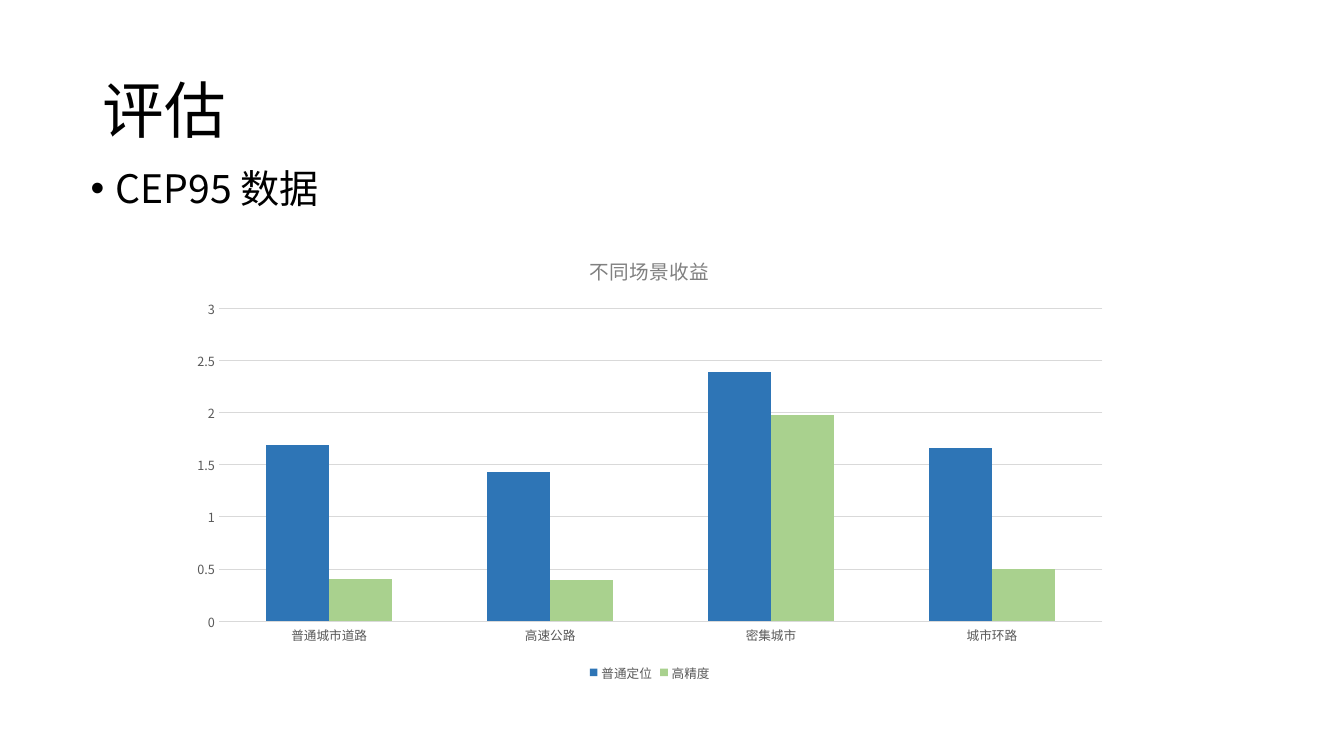
from dataclasses import dataclass

from lxml.etree import SubElement
from pptx import Presentation
from pptx.chart.data import CategoryChartData
from pptx.dml.color import RGBColor
from pptx.enum.chart import XL_CHART_TYPE, XL_LEGEND_POSITION, XL_TICK_MARK
from pptx.enum.text import MSO_ANCHOR
from pptx.oxml.ns import qn
from pptx.util import Inches, Pt


@dataclass(frozen=True)
class Theme:
    font: str = "Noto Sans CJK SC"
    text: str = "000000"
    label: str = "595959"
    chart_title: str = "808080"
    grid: str = "D9D9D9"
    series: tuple = ("2E75B6", "A9D18E")
    title_size: int = 44
    body_size: int = 28
    chart_title_size: int = 14
    label_size: int = 9


theme = Theme()


def style_font(font, size, color):
    font.size = Pt(size)
    font.bold = False
    font.color.rgb = RGBColor.from_string(color)
    font.name = theme.font
    SubElement(font._rPr, qn("a:ea"), typeface=theme.font)


def add_text(slide, text, left, top, width, height, size, anchor):
    shape = slide.shapes.add_textbox(Inches(left), Inches(top), Inches(width), Inches(height))
    frame = shape.text_frame
    frame.word_wrap = True
    frame.vertical_anchor = anchor
    paragraph = frame.paragraphs[0]
    paragraph.line_spacing = 0.9
    run = paragraph.add_run()
    run.text = text
    style_font(run.font, size, theme.text)
    return paragraph


presentation = Presentation()
presentation.slide_width = Inches(13.33)
presentation.slide_height = Inches(7.5)
slide = presentation.slides.add_slide(presentation.slide_layouts[6])

add_text(slide, "评估", 0.92, 0.4, 11.5, 1.45, theme.title_size, MSO_ANCHOR.MIDDLE)

chart_data = CategoryChartData()
chart_data.categories = ["普通城市道路", "高速公路", "密集城市", "城市环路"]
chart_data.add_series("普通定位", [1.69, 1.43, 2.39, 1.66])
chart_data.add_series("高精度", [0.41, 0.4, 1.98, 0.5])
chart = slide.shapes.add_chart(
    XL_CHART_TYPE.COLUMN_CLUSTERED,
    Inches(1.77), Inches(2.34), Inches(9.35), Inches(4.46), chart_data,
).chart
style_font(chart.font, theme.label_size, theme.label)

chart.has_title = True
chart_title_run = chart.chart_title.text_frame.paragraphs[0].add_run()
chart_title_run.text = "不同场景收益"
style_font(chart_title_run.font, theme.chart_title_size, theme.chart_title)
chart.chart_title.include_in_layout = False

chart.has_legend = True
chart.legend.position = XL_LEGEND_POSITION.BOTTOM
chart.legend.include_in_layout = False
style_font(chart.legend.font, theme.label_size, theme.label)

for axis in (chart.category_axis, chart.value_axis):
    axis.major_tick_mark = XL_TICK_MARK.NONE
    axis.minor_tick_mark = XL_TICK_MARK.NONE
    axis.format.line.fill.background()
    style_font(axis.tick_labels.font, theme.label_size, theme.label)

value_axis = chart.value_axis
value_axis.minimum_scale = 0
value_axis.maximum_scale = 3
value_axis.major_unit = 0.5
grid_line = value_axis.major_gridlines.format.line
grid_line.width = Pt(0.75)
grid_line.color.rgb = RGBColor.from_string(theme.grid)

plot = chart.plots[0]
plot.gap_width = 150
plot.overlap = 0
plot.vary_by_categories = False
for series, color in zip(plot.series, theme.series):
    series.format.fill.solid()
    series.format.fill.fore_color.rgb = RGBColor.from_string(color)

bullet = add_text(slide, "CEP95 数据", 0.8, 1.63, 12.06, 1.23, theme.body_size, MSO_ANCHOR.TOP)
bullet.space_before = Pt(10)
properties = bullet._p.get_or_add_pPr()
properties.set("marL", str(Inches(0.25)))
properties.set("indent", str(Inches(-0.25)))
SubElement(properties, qn("a:buFont"), typeface="Arial")
SubElement(properties, qn("a:buChar"), char="•")

presentation.save("out.pptx")
